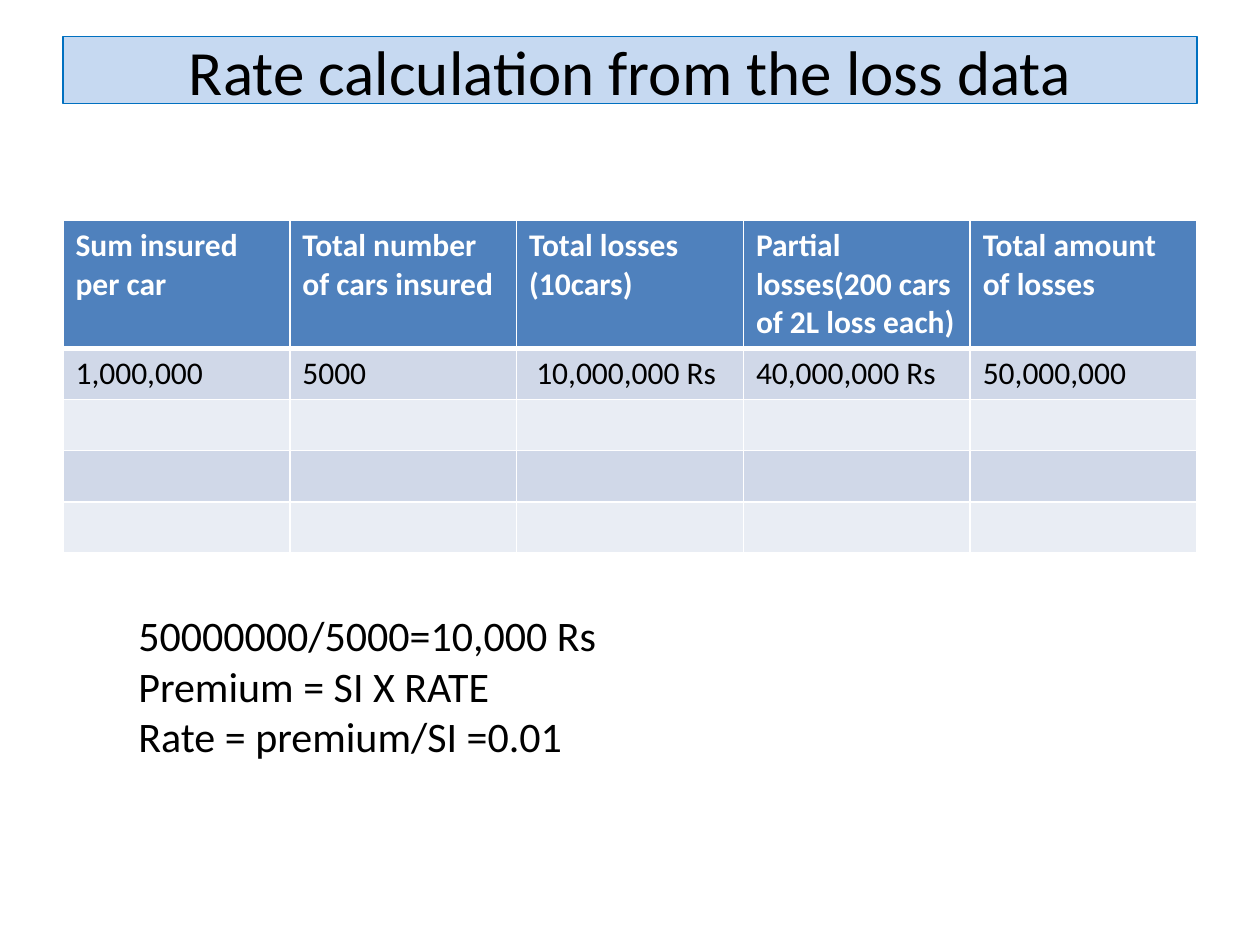
import pptx
import pptx.util
import pptx.dml.color
import pptx.enum.text
import pptx.oxml.ns
import lxml.etree

Pt = pptx.util.Pt
BLACK, WHITE = "000000", "FFFFFF"


def rgb(value):
    """Turn a hex string into a colour."""
    return pptx.dml.color.RGBColor.from_string(value)


def write(p, text, color=BLACK, **formats):
    """Add a run of text to a paragraph and format it."""
    r = p.add_run()
    r.text = text
    r.font.color.rgb = rgb(color)
    for name, value in {"name": "Calibri", **formats}.items():
        setattr(r.font, name, value)


prs = pptx.Presentation()
prs.slide_width, prs.slide_height = Pt(720), Pt(540)
s = prs.slides.add_slide(prs.slide_layouts[5])

# Title bar
title = s.shapes.title
box = {"left": Pt(36), "top": Pt(21), "width": Pt(648), "height": Pt(38)}
for name, value in box.items():
    setattr(title, name, value)
title.fill.solid()
title.fill.fore_color.rgb = rgb("C6D9F1")
title.line.color.rgb = rgb("0070C0")
title.line.width = Pt(0.75)
tf = title.text_frame
tf.auto_size = pptx.enum.text.MSO_AUTO_SIZE.NONE
tf.vertical_anchor = pptx.enum.text.MSO_ANCHOR.MIDDLE
p = tf.paragraphs[0]
p.alignment = pptx.enum.text.PP_ALIGN.CENTER
write(p, "Rate calculation from the loss data", size=Pt(36))

# Loss table: header, one row of data, three empty rows
rows = [
    ["Sum insured per car", "Total number of cars insured", "Total losses (10cars)",
     "Partial losses(200 cars of 2L loss each)", "Total amount of losses"],
    ["1,000,000", "5000", " 10,000,000 Rs", "40,000,000 Rs", "50,000,000"],
] + [[""] * 5] * 3
fills = ["4F81BD", "D0D8E8", "E9EDF4", "D0D8E8", "E9EDF4"]
heights = [72] + [29.2] * 4
table = s.shapes.add_table(5, 5, Pt(36), Pt(126), Pt(648), Pt(sum(heights))).table
for i, (texts, fill, height) in enumerate(zip(rows, fills, heights)):
    table.rows[i].height = Pt(height)
    for j, text in enumerate(texts):
        cell = table.cell(i, j)
        tcPr = cell._tc.get_or_add_tcPr()
        for side in "LRTB":
            width = 3 if (i, side) in [(0, "B"), (1, "T")] else 1
            ln = lxml.etree.SubElement(tcPr, pptx.oxml.ns.qn("a:ln" + side), w=str(Pt(width)))
            solid = lxml.etree.SubElement(ln, pptx.oxml.ns.qn("a:solidFill"))
            lxml.etree.SubElement(solid, pptx.oxml.ns.qn("a:srgbClr"), val=WHITE)
        cell.fill.solid()
        cell.fill.fore_color.rgb = rgb(fill)
        p = cell.text_frame.paragraphs[0]
        p.font.size = Pt(18)
        if text:
            write(p, text, BLACK if i else WHITE, size=Pt(18), bold=i == 0)

# Rate calculation
tf = s.shapes.add_textbox(Pt(72), Pt(345), Pt(576), Pt(94.5)).text_frame
tf.word_wrap = True
tf.auto_size = pptx.enum.text.MSO_AUTO_SIZE.SHAPE_TO_FIT_TEXT
steps = ["50000000/5000=10,000 Rs", "Premium = SI X RATE", "Rate = premium/SI =0.01"]
for i, step in enumerate(steps):
    p = tf.add_paragraph() if i else tf.paragraphs[0]
    write(p, step, size=Pt(24))

prs.save("out.pptx")
